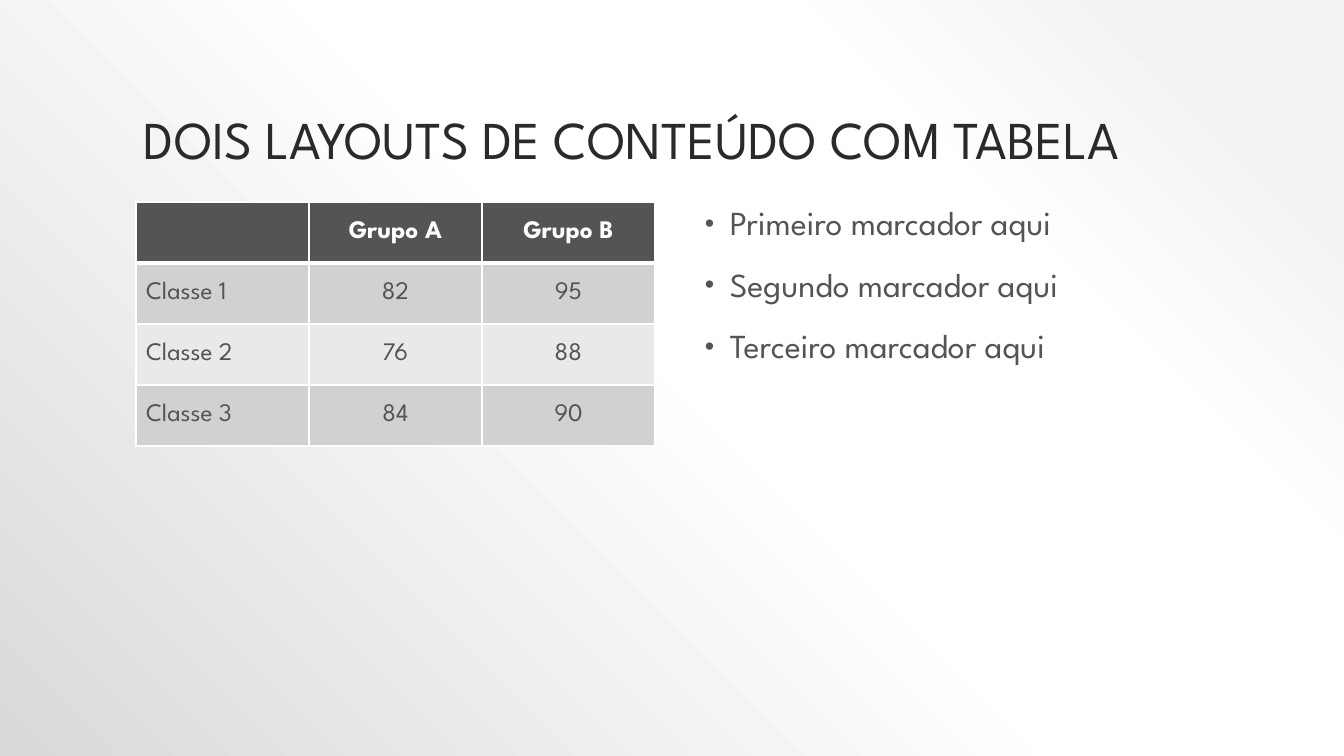
from pptx import Presentation
from pptx.dml.color import RGBColor
from pptx.enum.text import MSO_ANCHOR, PP_ALIGN
from pptx.oxml import parse_xml
from pptx.oxml.ns import nsdecls
from pptx.util import Pt

BOTTOM, MIDDLE = MSO_ANCHOR.BOTTOM, MSO_ANCHOR.MIDDLE
LEFT, CENTER = PP_ALIGN.LEFT, PP_ALIGN.CENTER
PX = 914400 / 100.8
FONT = "League Spartan"
INK = RGBColor(0x2A, 0x2A, 0x2A)
GRAY = RGBColor(0x54, 0x54, 0x54)
WHITE = RGBColor(0xFF, 0xFF, 0xFF)
DARK_BAND = RGBColor(0xD1, 0xD1, 0xD1)
LIGHT_BAND = RGBColor(0xE9, 0xE9, 0xE9)


def px(*lengths):
    return [round(length * PX) for length in lengths]


def add_text(paragraph, text, size, color, bold=False):
    run = paragraph.add_run()
    run.text = text
    run.font.name = FONT
    run.font.size = Pt(size)
    run.font.bold = bold
    run.font.color.rgb = color


prs = Presentation()
prs.slide_width, prs.slide_height = px(1344, 756)
slide = prs.slides.add_slide(prs.slide_layouts[6])

stops = "".join(
    f'<a:gs pos="{percent * 1000}"><a:srgbClr val="{color}"/></a:gs>'
    for percent, color in [(10, "F2F2F2"), (28, "FFFFFF"), (48, "FFFFFF"), (100, "D9D9D9")]
)
slide.element.cSld.insert(0, parse_xml(
    f'<p:bg {nsdecls("p", "a")}><p:bgPr><a:gradFill rotWithShape="1"><a:gsLst>{stops}</a:gsLst>'
    '<a:path path="circle"><a:fillToRect l="100000" t="0" r="0" b="100000"/></a:path>'
    '</a:gradFill><a:effectLst/></p:bgPr></p:bg>'
))

title = slide.shapes.add_textbox(*px(134, 30, 1172, 146)).text_frame
title.word_wrap = True
title.vertical_anchor = BOTTOM
title.paragraphs[0].line_spacing = 0.9
add_text(title.paragraphs[0], "DOIS LAYOUTS DE CONTEÚDO COM TABELA", 38, INK)

scores = [
    ["", "Grupo A", "Grupo B"],
    ["Classe 1", "82", "95"],
    ["Classe 2", "76", "88"],
    ["Classe 3", "84", "90"],
]
table = slide.shapes.add_table(4, 3, *px(136, 202, 519, 244)).table
for r, row in enumerate(scores):
    header = r == 0
    band = GRAY if header else DARK_BAND if r % 2 else LIGHT_BAND
    for c, text in enumerate(row):
        cell = table.cell(r, c)
        cell.vertical_anchor = MIDDLE
        cell.fill.solid()
        cell.fill.fore_color.rgb = band
        if text:
            paragraph = cell.text_frame.paragraphs[0]
            paragraph.alignment = CENTER if c else LEFT
            add_text(paragraph, text, 18, WHITE if header else GRAY, header)
        below = 3 if header else 1
        above = 3 if r == 1 else 1
        widths = {"lnL": 1, "lnR": 1, "lnT": above, "lnB": below}
        for i, (side, width) in enumerate(widths.items()):
            cell._tc.get_or_add_tcPr().insert(i, parse_xml(
                f'<a:{side} {nsdecls("a")} w="{Pt(width)}"><a:solidFill>'
                f'<a:srgbClr val="{WHITE}"/></a:solidFill></a:{side}>'
            ))

markers = slide.shapes.add_textbox(*px(690, 202, 519, 479)).text_frame
markers.word_wrap = True
indent, hanging = px(30, -25)
for i, ordinal in enumerate(["Primeiro", "Segundo", "Terceiro"]):
    paragraph = markers.add_paragraph() if i else markers.paragraphs[0]
    paragraph.line_spacing = 0.9
    paragraph.space_before = Pt(18)
    add_text(paragraph, f"{ordinal} marcador aqui", 24, GRAY)
    properties = paragraph._p.get_or_add_pPr()
    properties.set("marL", str(indent))
    properties.set("indent", str(hanging))
    for bullet in (
        f'<a:buClr {nsdecls("a")}><a:srgbClr val="{GRAY}"/></a:buClr>',
        f'<a:buSzPct {nsdecls("a")} val="80000"/>',
        f'<a:buFont {nsdecls("a")} typeface="Arial"/>',
        f'<a:buChar {nsdecls("a")} char="•"/>',
    ):
        properties.append(parse_xml(bullet))

prs.save("out.pptx")
